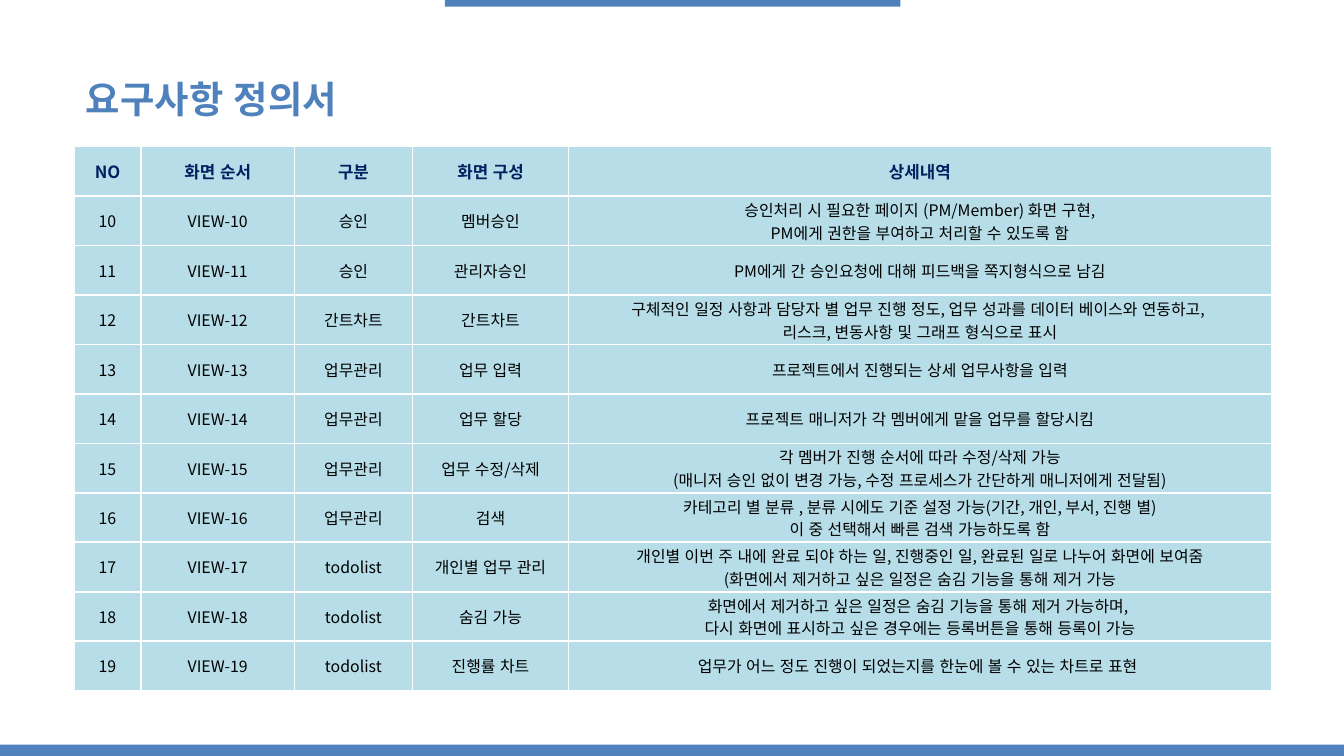
"""Build the requirements definition slide with its screen table."""
from dataclasses import dataclass

from lxml import etree
from pptx import Presentation
from pptx.dml.color import RGBColor
from pptx.enum.lang import MSO_LANGUAGE_ID
from pptx.enum.shapes import MSO_SHAPE
from pptx.enum.text import MSO_ANCHOR, MSO_AUTO_SIZE, PP_ALIGN
from pptx.oxml.ns import qn
from pptx.util import Inches, Pt

KOREAN = MSO_LANGUAGE_ID.KOREAN
RECTANGLE = MSO_SHAPE.RECTANGLE
MIDDLE = MSO_ANCHOR.MIDDLE
GROW = MSO_AUTO_SIZE.SHAPE_TO_FIT_TEXT
LEFT, CENTER = PP_ALIGN.LEFT, PP_ALIGN.CENTER


@dataclass(frozen=True)
class Theme:
    font: str = "Noto Sans CJK KR"
    accent: str = "4F81BD"
    cell: str = "B7DEE8"
    border: str = "FFFFFF"
    heading: str = "002060"
    body: str = "000000"
    title_size: float = 20
    heading_size: float = 9
    body_size: float = 8.5
    border_width: float = 1


THEME = Theme()


def write_text(frame, text, size, color, bold, align):
    frame.text = text
    for para in frame.paragraphs:
        para.alignment = align
        for span in para.runs:
            span.font.size = Pt(size)
            span.font.bold = bold
            span.font.language_id = KOREAN
            span.font.color.rgb = RGBColor.from_string(color)
            span.font.name = THEME.font
            east_asian = etree.SubElement(span._r.get_or_add_rPr(), qn("a:ea"))
            east_asian.set("typeface", THEME.font)


def add_borders(cell):
    properties = cell._tc.get_or_add_tcPr()
    for side in ("a:lnL", "a:lnR", "a:lnT", "a:lnB"):
        line = etree.SubElement(properties, qn(side), w=str(Pt(THEME.border_width)))
        fill = etree.SubElement(line, qn("a:solidFill"))
        etree.SubElement(fill, qn("a:srgbClr"), val=THEME.border)


deck = Presentation()
deck.slide_width, deck.slide_height = Inches(10), Inches(10) * 9 // 16
page = deck.slides.add_slide(deck.slide_layouts[6])

for left, top, width, height in ((3.31, 0, 3.39, 0.05), (0, 5.54, 10, 0.09)):
    bar = page.shapes.add_shape(
        RECTANGLE, Inches(left), Inches(top), Inches(width), Inches(height))
    bar.shadow.inherit = False
    bar.fill.solid()
    bar.fill.fore_color.rgb = RGBColor.from_string(THEME.accent)
    bar.line.fill.background()

title = page.shapes.add_textbox(Inches(0.54), Inches(0.52), Inches(3.71), Inches(0.44))
title.text_frame.word_wrap = True
title.text_frame.auto_size = GROW
write_text(title.text_frame, "요구사항 정의서", THEME.title_size, THEME.accent, True, LEFT)

headings = ("NO", "화면 순서", "구분", "화면 구성", "상세내역")
first_number = 10
screens = (
    ("승인", "멤버승인",
     "승인처리 시 필요한 페이지 (PM/Member) 화면 구현,\n"
     "PM에게 권한을 부여하고 처리할 수 있도록 함"),
    ("승인", "관리자승인", "PM에게 간 승인요청에 대해 피드백을 쪽지형식으로 남김"),
    ("간트차트", "간트차트",
     "구체적인 일정 사항과 담당자 별 업무 진행 정도, 업무 성과를 데이터 베이스와 연동하고, \n"
     "리스크, 변동사항 및 그래프 형식으로 표시"),
    ("업무관리", "업무 입력", "프로젝트에서 진행되는 상세 업무사항을 입력"),
    ("업무관리", "업무 할당", "프로젝트 매니저가 각 멤버에게 맡을 업무를 할당시킴"),
    ("업무관리", "업무 수정/삭제",
     "각 멤버가 진행 순서에 따라 수정/삭제 가능\n"
     "(매니저 승인 없이 변경 가능, 수정 프로세스가 간단하게 매니저에게 전달됨)"),
    ("업무관리", "검색",
     "카테고리 별 분류 , 분류 시에도 기준 설정 가능(기간, 개인, 부서, 진행 별)\n"
     "이 중 선택해서 빠른 검색 가능하도록 함"),
    ("todolist", "개인별 업무 관리",
     "개인별 이번 주 내에 완료 되야 하는 일, 진행중인 일, 완료된 일로 나누어 화면에 보여줌\n"
     "(화면에서 제거하고 싶은 일정은 숨김 기능을 통해 제거 가능"),
    ("todolist", "숨김 가능",
     "화면에서 제거하고 싶은 일정은 숨김 기능을 통해 제거 가능하며, \n"
     "다시 화면에 표시하고 싶은 경우에는 등록버튼을 통해 등록이 가능"),
    ("todolist", "진행률 차트",
     "업무가 어느 정도 진행이 되었는지를 한눈에 볼 수 있는 차트로 표현 "),
)
rows = [headings]
for number, screen in enumerate(screens, first_number):
    rows.append((str(number), f"VIEW-{number}", *screen))

table = page.shapes.add_table(
    len(rows), len(headings), Inches(0.55), Inches(1.09), Inches(8.91), Inches(4.05)).table
for column, width in zip(table.columns, (0.5, 1.14, 0.88, 1.16, 5.23)):
    column.width = Inches(width)

for row_index, row in enumerate(rows):
    is_heading = row_index == 0
    size = THEME.heading_size if is_heading else THEME.body_size
    color = THEME.heading if is_heading else THEME.body
    for column_index, text in enumerate(row):
        cell = table.cell(row_index, column_index)
        cell.margin_left = cell.margin_right = cell.margin_top = cell.margin_bottom = 0
        cell.vertical_anchor = MIDDLE
        add_borders(cell)
        cell.fill.solid()
        cell.fill.fore_color.rgb = RGBColor.from_string(THEME.cell)
        write_text(cell.text_frame, text, size, color, is_heading, CENTER)

deck.save("out.pptx")
